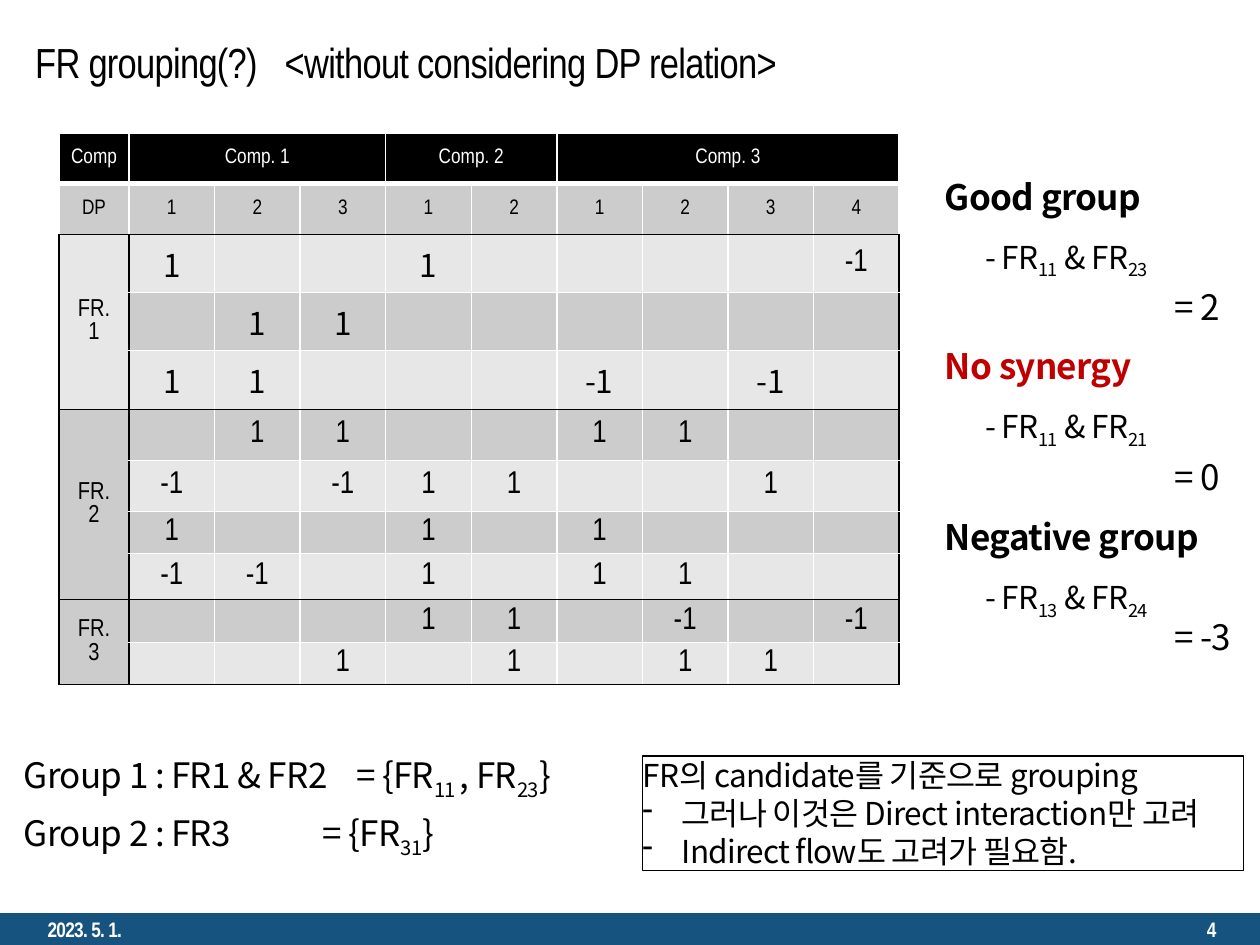
from lxml import etree
from pptx import Presentation
from pptx.dml.color import RGBColor
from pptx.enum.shapes import MSO_SHAPE
from pptx.enum.text import MSO_ANCHOR, PP_ALIGN
from pptx.oxml.ns import qn
from pptx.util import Cm, Pt

COLORS = {"black": "000000", "white": "FFFFFF", "red": "C00000",
          "blue": "16537F", "light": "E7E7E7", "grey": "CCCCCC"}
NARROW, NOTO = "Arial Narrow", "Noto Sans CJK KR"


def color(name):
    return RGBColor.from_string(COLORS[name])


def add_run(p, text, size, font=NOTO, ink="black", bold=False, spacing=-40, sub=False):
    run = p.add_run()
    run.text = text
    run.font.size = Pt(size)
    run.font.name = font
    run.font.bold = bold
    run.font.color.rgb = color(ink)
    props = run.font._element
    etree.SubElement(props, qn("a:ea")).set("typeface", font)
    if spacing:
        props.set("spc", str(spacing))
    if sub:
        props.set("baseline", "-25000")


def set_tab(p, position):
    tabs = etree.SubElement(p._p.get_or_add_pPr(), qn("a:tabLst"))
    tab = etree.SubElement(tabs, qn("a:tab"))
    tab.set("pos", str(Cm(position)))
    tab.set("algn", "l")


def set_insets(frame, x, y):
    frame.margin_left = frame.margin_right = Cm(x)
    frame.margin_top = frame.margin_bottom = Cm(y)


def add_label(slide, x, y, w, h, parts, size, tab=None, **style):
    frame = slide.shapes.add_textbox(Cm(x), Cm(y), Cm(w), Cm(h)).text_frame
    set_insets(frame, 0, 0)
    frame.word_wrap = False
    p = frame.paragraphs[0]
    for i, part in enumerate(parts):
        add_run(p, part, size, sub=i % 2 == 1, **style)
    if tab:
        set_tab(p, tab)


def add_line(slide, x, y, w, h, text, size, align=PP_ALIGN.LEFT, tab=None, **style):
    frame = slide.shapes.add_textbox(Cm(x), Cm(y), Cm(w), Cm(h)).text_frame
    frame.word_wrap = True
    frame.vertical_anchor = MSO_ANCHOR.MIDDLE
    p = frame.paragraphs[0]
    p.alignment = align
    add_run(p, text, size, NARROW, **style)
    if tab:
        set_tab(p, tab)


def footer(slide, x, y, w, h):
    bar = slide.shapes.add_shape(MSO_SHAPE.RECTANGLE, Cm(x), Cm(y), Cm(w), Cm(h))
    bar.shadow.inherit = False
    bar.fill.solid()
    bar.fill.fore_color.rgb = color("blue")
    bar.line.fill.background()
    style = dict(ink="white", bold=True)
    add_line(slide, x + 0.71, y, 5.72, h, "2023. 5. 1.", 12, **style)
    add_line(slide, x + w - 6.35, y, 5.72, h, "4", 12, PP_ALIGN.RIGHT, **style)


def set_borders(cell, edges):
    tcPr = cell._tc.get_or_add_tcPr()
    for i, side in enumerate("LRTB"):
        ink, width = edges.get(side, ("white", 1))
        line = etree.Element(qn("a:ln" + side))
        line.set("w", str(Pt(width)))
        fill = etree.SubElement(line, qn("a:solidFill"))
        etree.SubElement(fill, qn("a:srgbClr")).set("val", COLORS[ink])
        tcPr.insert(i, line)


HEADERS = ["Comp", "Comp. 1", "", "", "Comp. 2", "", "Comp. 3", "", "", ""]
DESIGN = ["DP", "1", "2", "3", "1", "2", "1", "2", "3", "4"]
RELATIONS = [
    ["1", "", "", "1", "", "", "", "", "-1"],
    ["", "1", "1", "", "", "", "", "", ""],
    ["1", "1", "", "", "", "-1", "", "-1", ""],
    ["", "1", "1", "", "", "1", "1", "", ""],
    ["-1", "", "-1", "1", "1", "", "", "1", ""],
    ["1", "", "", "1", "", "1", "", "", ""],
    ["-1", "-1", "", "1", "", "1", "1", "", ""],
    ["", "", "", "1", "1", "", "-1", "", "-1"],
    ["", "", "1", "", "1", "", "1", "1", ""],
]
GROUPS = {2: ("FR. 1", 4), 5: ("FR. 2", 8), 9: ("FR. 3", 10)}
HEIGHTS = [1.01, 1.03, 1.17, 1.17, 1.18, 1.03, 1.03, 0.85, 0.93, 0.86, 0.85]


def cell_edges(r, c):
    black = ("black", 1)
    if r == 0:
        return {"B": ("white", 3)}
    if r == 1:
        return {"T": ("white", 3), "B": black}
    edges = {}
    if c == 0 or r in GROUPS:
        edges["T"] = black
    if c == 0 or r in [last for _, last in GROUPS.values()]:
        edges["B"] = black
    if c < 2:
        edges["L"] = black
    if c in (0, 9):
        edges["R"] = black
    return edges


def relation_table(slide, x, y, w):
    rows = [HEADERS, DESIGN]
    rows += [[GROUPS.get(r, ("",))[0]] + row for r, row in enumerate(RELATIONS, 2)]
    table = slide.shapes.add_table(len(rows), 10, Cm(x), Cm(y), Cm(w), Cm(sum(HEIGHTS))).table
    for c, column in enumerate(table.columns):
        column.width = Cm(1.41 if c == 0 else (w - 1.41) / 9)
    for r, texts in enumerate(rows):
        table.rows[r].height = Cm(HEIGHTS[r])
        for c, text in enumerate(texts):
            cell = table.cell(r, c)
            side = c == 0 and r > 1
            set_borders(cell, cell_edges(r, c))
            row = max(g for g in GROUPS if g <= r) if side else r
            cell.fill.solid()
            cell.fill.fore_color.rgb = color("black" if r == 0 else "grey" if row % 2 else "light")
            cell.vertical_anchor = MSO_ANCHOR.MIDDLE
            set_insets(cell, 0.25 if side else 0.2, 0.02)
            p = cell.text_frame.paragraphs[0]
            p.alignment = PP_ALIGN.CENTER
            if side:
                cell._tc.get_or_add_tcPr().set("vert", "eaVert")
            if text:
                noto = 2 <= r <= 4 and 0 < c < 9
                size = 12 if r < 2 else 14 if side else 18
                add_run(p, text, size, NOTO if noto else NARROW,
                        "white" if r == 0 else "black", spacing=-40 if noto else 0)
            else:
                etree.SubElement(p._p, qn("a:endParaRPr")).set("sz", "800")
    for first, last in ((1, 3), (4, 5), (6, 9)):
        table.cell(0, first).merge(table.cell(0, last))
    for first, (_, last) in GROUPS.items():
        table.cell(first, 0).merge(table.cell(last, 0))


def synergy_case(slide, x, y, title, ink, pair, score, drop):
    add_label(slide, x, y, 5.8, 0.86, [title], 20, ink=ink, bold=True)
    add_label(slide, x + 0.81, y + 1.26, 3.8, 0.76,
              ["- FR", pair[0], " & FR", pair[1]], 18)
    add_label(slide, x + 4.62, y + drop, 1.5, 0.86, [score], 20)


def group_list(slide, x, y):
    add_label(slide, x, y, 11.63, 0.86,
              ["Group 1 : FR1 & FR2\t= {FR", "11 ", ", FR", "23", "}"], 20, tab=6.7)
    add_label(slide, x, y + 1.17, 10.13, 0.86,
              ["Group 2 : FR3\t= {FR", "31", "}"], 20, tab=6.03)


def note_box(slide, x, y, w, h):
    box = slide.shapes.add_shape(MSO_SHAPE.RECTANGLE, Cm(x), Cm(y), Cm(w), Cm(h))
    box.shadow.inherit = False
    box.fill.background()
    box.line.color.rgb = color("black")
    box.line.width = Pt(0.75)
    frame = box.text_frame
    frame.word_wrap = True
    frame.vertical_anchor = MSO_ANCHOR.TOP
    set_insets(frame, 0, 0)
    lines = ["FR의 candidate를 기준으로 grouping",
             "그러나 이것은 Direct interaction만 고려",
             "Indirect flow도 고려가 필요함."]
    for i, text in enumerate(lines):
        p = frame.add_paragraph() if i else frame.paragraphs[0]
        p.alignment = PP_ALIGN.LEFT
        add_run(p, text, 18)
        if i:
            pPr = p._p.get_or_add_pPr()
            pPr.set("marL", str(Cm(0.79)))
            pPr.set("indent", str(-Cm(0.79)))
            etree.SubElement(pPr, qn("a:buChar")).set("char", "-")


prs = Presentation()
prs.slide_width, prs.slide_height = Cm(25.4), Cm(19.05)
slide = prs.slides.add_slide(prs.slide_layouts[6])
footer(slide, 0, 18.41, 25.4, 0.64)
add_line(slide, 0.46, 0.43, 20.55, 1.63,
         "FR grouping(?)\t<without considering DP relation>", 24, tab=5.03)
relation_table(slide, 1.19, 2.69, 16.94)
synergy_case(slide, 19.05, 3.53, "Good group", "black", ("11", "23"), "= 2", 2.22)
synergy_case(slide, 19.05, 6.94, "No synergy", "red", ("11", "21"), "= 0", 2.25)
synergy_case(slide, 19.05, 10.4, "Negative group", "black", ("13", "24"), "= -3", 2.0)
group_list(slide, 0.48, 15.19)
note_box(slide, 12.95, 15.24, 12.12, 2.31)
prs.save("out.pptx")
